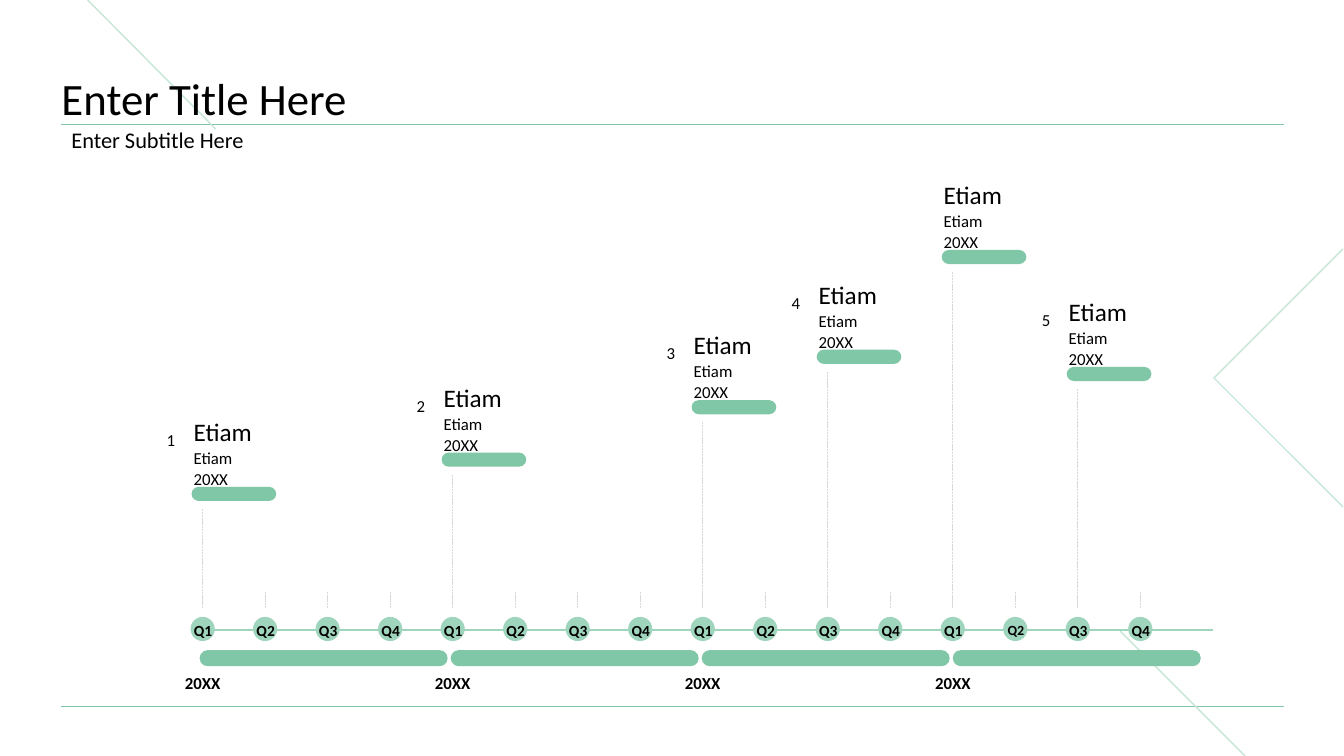
from dataclasses import dataclass

from lxml import etree
from pptx import Presentation
from pptx import util as u
from pptx.dml.color import RGBColor
from pptx.enum import dml, shapes, text
from pptx.oxml import ns


@dataclass(frozen=True)
class Theme:
    font: str = "Calibri"
    ink: str = "000000"
    bar: str = "80C7A7"
    dot: str = "A0D5BD"
    accent: str = "C6E6D7"
    stem: str = "D9D9D9"
    title: int = 32
    subtitle: int = 16
    heading: int = 18
    body: int = 12
    quarter: int = 11
    small_quarter: int = 10


T = Theme()
WIDTH, HEIGHT = 13.33, 7.5
LEFT, RIGHT = 0.61, 12.73

# Timeline grid: one column per quarter, named rows
FIRST_QUARTER, QUARTER = 2.01, 0.62
YEARS, QUARTERS = 4, 4
TICK_TOP, STEM_END, AXIS, YEAR_BAR, YEAR_LABEL = 5.87, 6.03, 6.25, 6.45, 6.67
DOT = 0.24

# Quarter column, top of the heading, number
MILESTONES = [(0, 4.13, "1"), (4, 3.79, "2"), (8, 3.27, "3"),
              (10, 2.77, "4"), (12, 1.78, None), (14, 2.94, "5")]


def quarter_x(column):
    return FIRST_QUARTER + column * QUARTER


def color(value):
    return RGBColor.from_string(value)


def add_text(s, content, x, y, w, h, size=T.body, bold=False, align=text.PP_ALIGN.LEFT,
             anchor=text.MSO_ANCHOR.TOP, inset=(0, 0), spacing=None, wrap=True):
    sp = s.shapes.add_textbox(*map(u.Inches, (x, y, w, h)))
    tf = sp.text_frame
    tf.word_wrap = wrap
    tf.vertical_anchor = anchor
    tf.margin_left = tf.margin_right = u.Inches(inset[0])
    tf.margin_top = tf.margin_bottom = u.Inches(inset[1])
    p = tf.paragraphs[0]
    p.alignment = align
    if spacing:
        p.line_spacing = spacing
    r = p.add_run()
    r.text = content
    r.font.name, r.font.size, r.font.bold = T.font, u.Pt(size), bold
    r.font.color.rgb = color(T.ink)


def add_line(s, x1, y1, x2, y2, stroke, width, dash=None):
    line = s.shapes.add_connector(shapes.MSO_CONNECTOR.STRAIGHT,
                                  *map(u.Inches, (x1, y1, x2, y2)))
    line.line.color.rgb = color(stroke)
    line.line.width = u.Pt(width)
    if dash:
        line.line.dash_style = dash
    etree.SubElement(line._element.spPr, ns.qn("a:effectLst"))


def add_filled(s, kind, x, y, w, h, fill):
    sp = s.shapes.add_shape(kind, *map(u.Inches, (x, y, w, h)))
    sp.shadow.inherit = False
    sp.fill.solid()
    sp.fill.fore_color.rgb = color(fill)
    sp.line.fill.background()
    return sp


def add_bar(s, x, y, w, h):
    sp = add_filled(s, shapes.MSO_SHAPE.ROUNDED_RECTANGLE, x, y, w, h, T.bar)
    sp.adjustments[0] = 0.5


def add_stem(s, x, top):
    add_line(s, x, top, x, STEM_END, T.stem, 0.5, dml.MSO_LINE.SQUARE_DOT)


def add_backdrop(s):
    for y in (7.01, 1.23):
        add_line(s, LEFT, y, RIGHT, y, T.bar, 0.5)
    add_line(s, 11.11, 6.26, 12.35, HEIGHT, T.accent, 1)
    add_line(s, 0.87, 0, 2.14, 1.28, T.accent, 1)
    # Chevron at the right edge
    start, *rest = [(u.Inches(x), u.Inches(y))
                    for x, y in ((13.32, 2.47), (12.04, 3.75), (13.32, 5.03))]
    builder = s.shapes.build_freeform(*start)
    builder.add_line_segments(rest, close=False)
    sp = builder.convert_to_shape()
    sp.shadow.inherit = False
    sp.fill.background()
    sp.line.color.rgb = color(T.accent)
    sp.line.width = u.Pt(1)


def add_quarter(s, column):
    x = quarter_x(column)
    size = T.small_quarter if column == 13 else T.quarter
    add_stem(s, x, TICK_TOP)
    add_filled(s, shapes.MSO_SHAPE.OVAL, x - DOT / 2, AXIS - 0.13, DOT, DOT, T.dot)
    add_text(s, f"Q{column % QUARTERS + 1}", x - 0.1, AXIS - 0.07, 0.21, 0.14, size=size,
             bold=True, align=text.PP_ALIGN.CENTER, anchor=text.MSO_ANCHOR.MIDDLE, wrap=False)


def add_year(s, year):
    add_bar(s, 1.98 + 2.49 * year, YEAR_BAR, 2.46, 0.16)
    add_text(s, "20XX", quarter_x(year * QUARTERS) - 0.27, YEAR_LABEL, 0.54, 0.23,
             bold=True, align=text.PP_ALIGN.CENTER)


def add_milestone(s, column, top, number):
    x = quarter_x(column)
    left = x - 0.09
    for content, size, dy, h in (("Etiam", T.heading, 0, 0.3),
                                 ("Etiam", T.body, 0.31, 0.2),
                                 ("20XX", T.body, 0.52, 0.23)):
        add_text(s, content, left, top + dy, 1.24, h, size=size)
    add_bar(s, left - 0.02, top + 0.7, 0.84, 0.14)
    add_stem(s, x, top + 0.92)
    if number:
        add_text(s, number, left - 0.39, top, 0.33, 0.37, align=text.PP_ALIGN.CENTER,
                 anchor=text.MSO_ANCHOR.MIDDLE, inset=(0.1, 0.05), spacing=1.5)


def main():
    prs = Presentation()
    prs.slide_width, prs.slide_height = u.Inches(WIDTH), u.Inches(HEIGHT)
    s = prs.slides.add_slide(prs.slide_layouts[6])

    # Backdrop and headings
    add_backdrop(s)
    add_text(s, "Enter Title Here", LEFT, 0.44, RIGHT - LEFT, 0.8, size=T.title,
             anchor=text.MSO_ANCHOR.BOTTOM, spacing=0.9)
    add_text(s, "Enter Subtitle Here", LEFT, 1.23, RIGHT - LEFT, 0.34, size=T.subtitle,
             anchor=text.MSO_ANCHOR.MIDDLE, inset=(0.1, 0.05), spacing=0.9)

    # Timeline
    add_line(s, 2.04, AXIS, 12.03, AXIS, T.dot, 1.25)
    for column in range(YEARS * QUARTERS):
        add_quarter(s, column)
    for year in range(YEARS):
        add_year(s, year)

    # Milestones
    for column, top, number in MILESTONES:
        add_milestone(s, column, top, number)

    prs.save("out.pptx")


if __name__ == "__main__":
    main()
